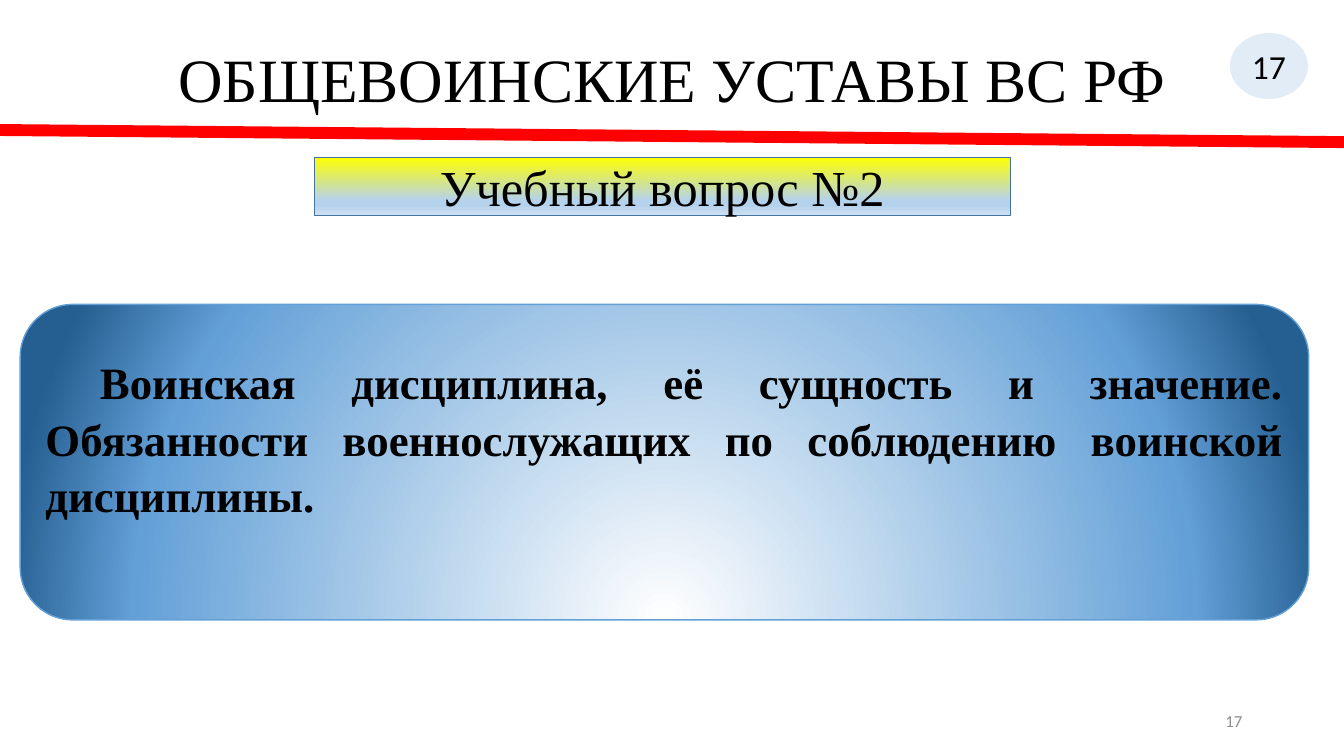
"""Build the slide announcing study question No. 2 on military discipline."""
from pptx import Presentation
from pptx import util as u
from pptx.dml.color import RGBColor
from pptx.enum import shapes, text
from pptx.oxml import parse_xml
from pptx.oxml.ns import qn
from lxml import etree

BLACK = RGBColor(0x00, 0x00, 0x00)
WHITE = RGBColor(0xFF, 0xFF, 0xFF)
RED = RGBColor(0xFF, 0x00, 0x00)
GRAY = RGBColor(0x8C, 0x8C, 0x8C)
YELLOW = RGBColor(0xFF, 0xFF, 0x00)
BLUE = RGBColor(0x5B, 0x9B, 0xD5)
PALE_BLUE = RGBColor(0xB5, 0xD2, 0xEC)
ICE_BLUE = RGBColor(0xCE, 0xE1, 0xF2)
STEEL_BLUE = RGBColor(0x43, 0x73, 0x9E)
SKY_BLUE = RGBColor(0x63, 0xA0, 0xD7)
DEEP_BLUE = RGBColor(0x25, 0x5E, 0x91)
SERIF, SANS = "Times New Roman", "Calibri"
DRAWING = "http://schemas.openxmlformats.org/drawingml/2006/main"


def write(box, words, size, font=SERIF, color=BLACK, bold=False,
          align=text.PP_ALIGN.CENTER, anchor=text.MSO_ANCHOR.MIDDLE, spacing=None):
    frame = box.text_frame
    frame.word_wrap = True
    frame.vertical_anchor = anchor
    para = frame.paragraphs[0]
    para.alignment = align
    para.line_spacing = spacing
    span = para.add_run()
    span.text = words
    span.font.size = u.Pt(size)
    span.font.name = font
    span.font.bold = bold
    span.font.color.rgb = color
    return para


def fill_gradient(shape, stops, direction):
    shape.fill.gradient()
    gradient = shape.element.spPr.find(qn("a:gradFill"))
    for child in list(gradient):
        gradient.remove(child)
    marks = "".join(f'<a:gs pos="{place * 1000}"><a:srgbClr val="{color}"/></a:gs>'
                    for place, color in stops)
    gradient.append(parse_xml(f'<a:gsLst xmlns:a="{DRAWING}">{marks}</a:gsLst>'))
    gradient.append(parse_xml(direction))


deck = Presentation()
deck.slide_width, deck.slide_height = u.Inches(13.33), u.Inches(7.5)
page = deck.slides.add_slide(deck.slide_layouts[6])

title = page.shapes.add_textbox(u.Inches(0.92), u.Inches(0.4), u.Inches(11.5), u.Inches(1.45))
title.text_frame.margin_top = u.Inches(0.09)
write(title, "ОБЩЕВОИНСКИЕ УСТАВЫ ВС РФ", 44, anchor=text.MSO_ANCHOR.TOP, spacing=0.9)

rule = page.shapes.add_connector(shapes.MSO_CONNECTOR.STRAIGHT, u.Inches(0), u.Inches(1.29),
                                 u.Inches(13.33), u.Inches(1.41))
rule.line.color.rgb = RED
rule.line.width = u.Pt(8.5)
etree.SubElement(rule.element.spPr, qn("a:effectLst"))

kinds = shapes.MSO_SHAPE
badge, banner, panel = [
    page.shapes.add_shape(kind, *map(u.Inches, place))
    for kind, place in [
        (kinds.OVAL, (12.19, 0.32, 0.79, 0.67)),
        (kinds.RECTANGLE, (3.12, 1.56, 6.9, 0.58)),
        (kinds.ROUNDED_RECTANGLE, (0.2, 3.02, 12.78, 3.13)),
    ]
]
for shape, edge in [(badge, WHITE), (banner, STEEL_BLUE), (panel, SKY_BLUE)]:
    shape.shadow.inherit = False
    shape.line.color.rgb = edge
    shape.line.width = u.Pt(1)

badge.fill.solid()
badge.fill.fore_color.rgb = BLUE
tint = badge.element.spPr.find(qn("a:solidFill")).find(qn("a:srgbClr"))
etree.SubElement(tint, qn("a:alpha")).set("val", "18000")
badge.text_frame.margin_left = badge.text_frame.margin_right = 0
write(badge, "17", 24, font=SANS)

fill_gradient(banner, [(0, YELLOW), (74, PALE_BLUE), (83, PALE_BLUE), (100, ICE_BLUE)],
              f'<a:lin xmlns:a="{DRAWING}" ang="5400000" scaled="0"/>')
write(banner, "Учебный вопрос №2", 36)

fill_gradient(panel, [(0, WHITE), (80, SKY_BLUE), (100, DEEP_BLUE)],
              f'<a:path xmlns:a="{DRAWING}" path="circle">'
              '<a:fillToRect l="50000" t="130000" r="50000" b="-30000"/></a:path>')
panel.text_frame.margin_bottom = u.Inches(0.55)
question = write(panel, "Воинская дисциплина, её сущность и значение. Обязанности "
                 "военнослужащих по соблюдению воинской дисциплины.",
                 32, bold=True, align=text.PP_ALIGN.JUSTIFY, spacing=1.05)
question._p.get_or_add_pPr().set("indent", str(u.Inches(0.54)))

number = page.shapes.add_textbox(u.Inches(9.42), u.Inches(6.95), u.Inches(3), u.Inches(0.4))
write(number, "17", 12, font=SANS, color=GRAY, align=text.PP_ALIGN.RIGHT)

deck.save("out.pptx")
